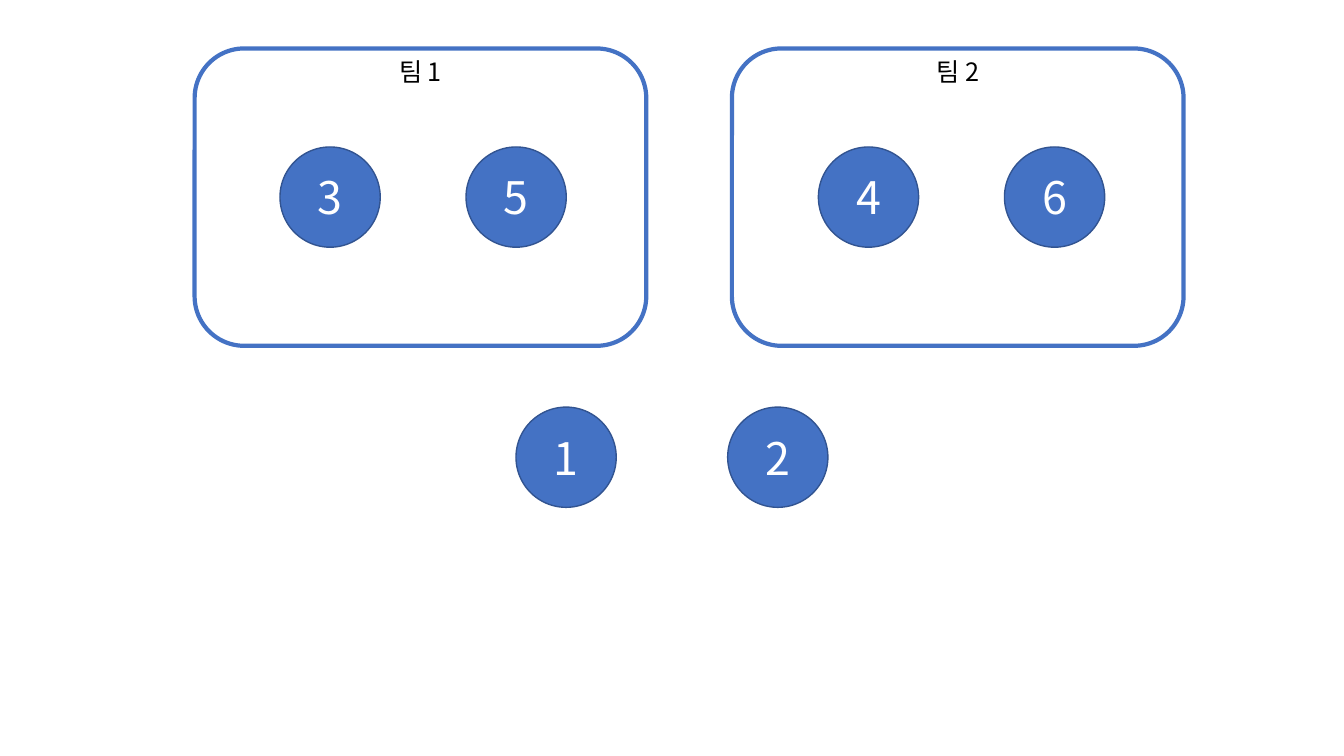
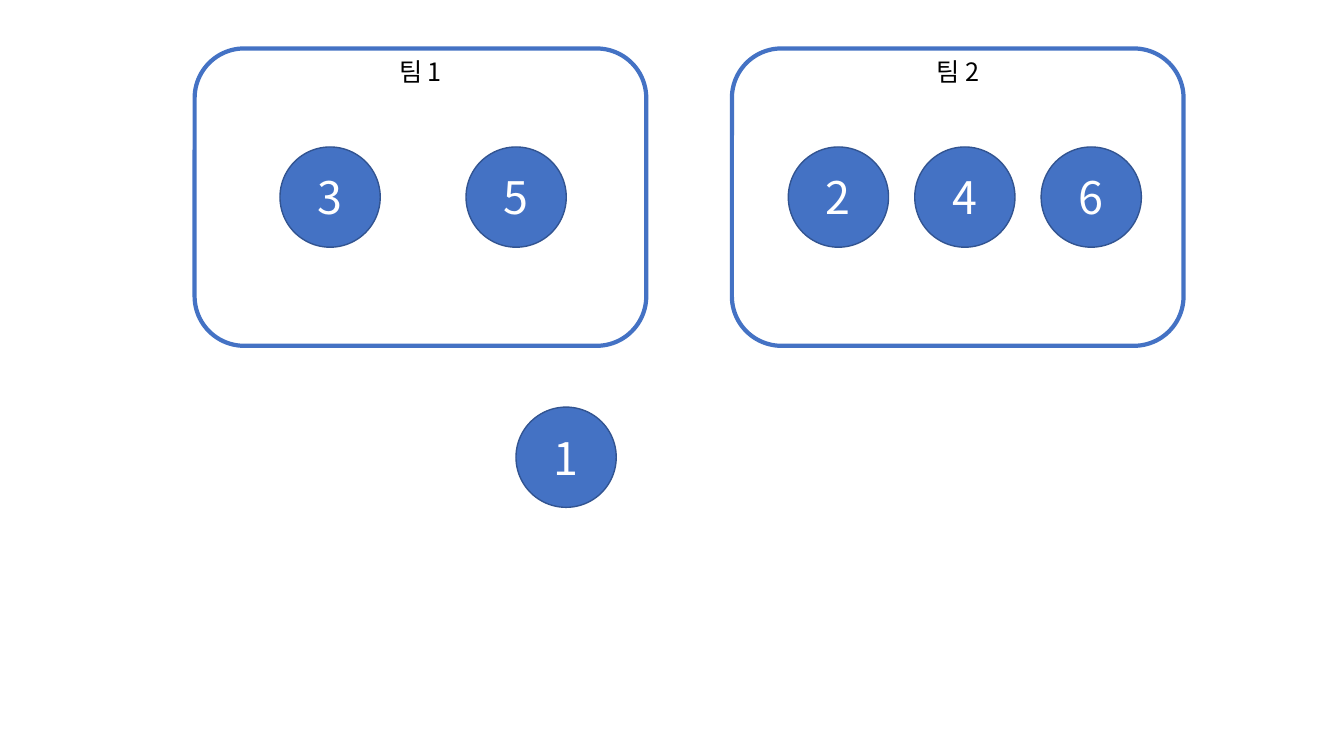
from dataclasses import dataclass

from lxml.etree import SubElement
from pptx import Presentation
from pptx.dml.color import RGBColor
from pptx.enum.shapes import MSO_SHAPE
from pptx.enum.text import MSO_ANCHOR, PP_ALIGN
from pptx.oxml.ns import qn
from pptx.util import Pt


@dataclass(frozen=True)
class Theme:
    """Colours, font and type sizes shared by the slides."""
    blue: str = "4472C4"
    dark_blue: str = "325491"
    white: str = "FFFFFF"
    black: str = "000000"
    font: str = "Noto Sans CJK KR"
    label_size: int = 18
    number_size: int = 32


def write_text(shape, text, *, size, color, font, anchor=MSO_ANCHOR.MIDDLE):
    """Write one centred line into a shape, without insets."""
    frame = shape.text_frame
    frame.word_wrap = True
    frame.vertical_anchor = anchor
    frame.margin_left = frame.margin_right = 0
    frame.margin_top = frame.margin_bottom = 0
    paragraph = frame.paragraphs[0]
    paragraph.alignment = PP_ALIGN.CENTER
    run = paragraph.add_run()
    run.text = text
    run.font.size = Pt(size)
    run.font.color.rgb = RGBColor.from_string(color)
    run.font.name = font
    east_asian = SubElement(run._r.get_or_add_rPr(), qn("a:ea"))
    east_asian.set("typeface", font)


class TeamDeck:
    """Draws team boxes and numbered players; lengths are in points."""

    BOX_TOP, BOX_WIDTH, BOX_HEIGHT = 34.6, 322.6, 212.4
    LABEL_TOP, LABEL_HEIGHT = 40, 27
    PLAYER_SIZE = 71.6
    TEAM_ROW_TOP, WAITING_ROW_TOP = 105, 290.8

    def __init__(self, theme):
        """Start a widescreen presentation."""
        self.theme = theme
        self.presentation = Presentation()
        self.presentation.slide_width = Pt(960)
        self.presentation.slide_height = Pt(540)
        self.slide = None

    def add_slide(self):
        """Add a blank slide and make it current."""
        layout = self.presentation.slide_layouts[6]
        self.slide = self.presentation.slides.add_slide(layout)

    def outlined(self, kind, left, top, width, height, *, line, weight, fill=None):
        """Add a preset shape with an outline and an optional fill."""
        shape = self.slide.shapes.add_shape(
            kind, Pt(left), Pt(top), Pt(width), Pt(height))
        shape.shadow.inherit = False
        if fill:
            shape.fill.solid()
            shape.fill.fore_color.rgb = RGBColor.from_string(fill)
        else:
            shape.fill.background()
        shape.line.color.rgb = RGBColor.from_string(line)
        shape.line.width = Pt(weight)
        return shape

    def team_box(self, name, left):
        """Add a rounded team box with its name at the top."""
        self.outlined(MSO_SHAPE.ROUNDED_RECTANGLE, left, self.BOX_TOP,
                      self.BOX_WIDTH, self.BOX_HEIGHT,
                      line=self.theme.blue, weight=3)
        label = self.slide.shapes.add_textbox(
            Pt(left), Pt(self.LABEL_TOP), Pt(self.BOX_WIDTH), Pt(self.LABEL_HEIGHT))
        write_text(label, name, size=self.theme.label_size, color=self.theme.black,
                   font=self.theme.font, anchor=MSO_ANCHOR.TOP)

    def players(self, numbers, left, top, pitch):
        """Add a row of numbered circles at an equal pitch."""
        for index, number in enumerate(numbers):
            circle = self.outlined(
                MSO_SHAPE.OVAL, left + index * pitch, top,
                self.PLAYER_SIZE, self.PLAYER_SIZE,
                line=self.theme.dark_blue, weight=1, fill=self.theme.blue)
            write_text(circle, str(number), size=self.theme.number_size,
                       color=self.theme.white, font=self.theme.font)


TEAM_BOXES = {"팀 1": 139, "팀 2": 522.8}
PAIR_PITCH, TRIO_PITCH, WAITING_PITCH = 132.9, 90.3, 151.2

# Each stage: players of team 2 with their left and pitch, then those waiting.
STAGES = [
    ([4, 6], 584.6, PAIR_PITCH, [1, 2]),
    ([2, 4, 6], 563.1, TRIO_PITCH, [1]),
]


def main():
    """Build one slide for each stage and save the file."""
    deck = TeamDeck(Theme())
    for team_two, team_two_left, team_two_pitch, waiting in STAGES:
        deck.add_slide()
        for name, left in TEAM_BOXES.items():
            deck.team_box(name, left)
        deck.players([3, 5], 200, deck.TEAM_ROW_TOP, PAIR_PITCH)
        deck.players(team_two, team_two_left, deck.TEAM_ROW_TOP, team_two_pitch)
        deck.players(waiting, 368.6, deck.WAITING_ROW_TOP, WAITING_PITCH)
    deck.presentation.save("out.pptx")


main()
